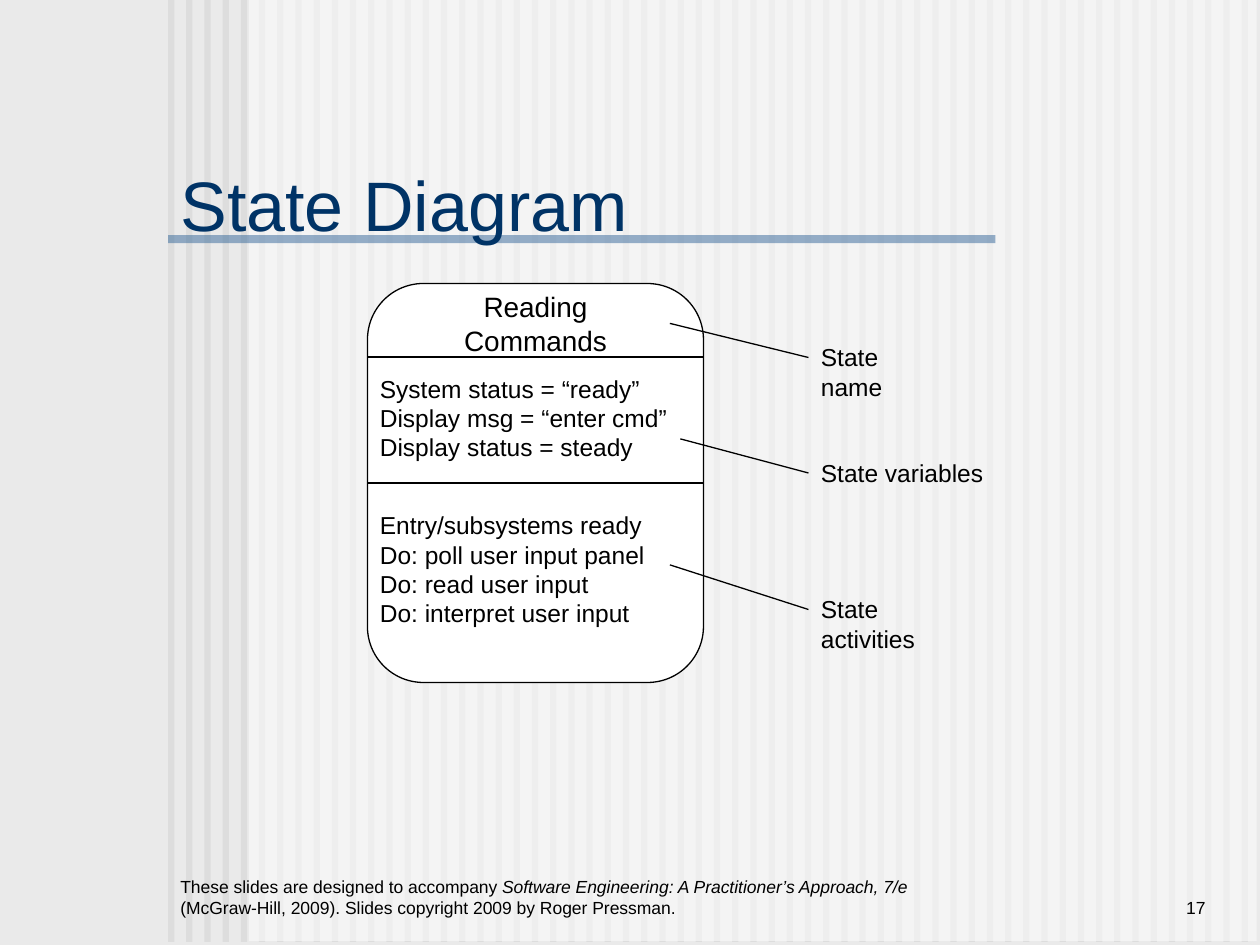
from dataclasses import dataclass

import lxml.etree
import pptx
import pptx.dml.color
import pptx.enum.shapes
import pptx.enum.text
import pptx.oxml.ns
import pptx.util

RGB = pptx.dml.color.RGBColor
SHAPE = pptx.enum.shapes.MSO_SHAPE
ALIGN = pptx.enum.text.PP_ALIGN
ANCHOR = pptx.enum.text.MSO_ANCHOR
FIT = pptx.enum.text.MSO_AUTO_SIZE
qn = pptx.oxml.ns.qn

PAPER = RGB(0xEA, 0xEA, 0xEA)
STRIPE = RGB(0xDD, 0xDD, 0xDD)
WHITE = RGB(0xFF, 0xFF, 0xFF)
BLACK = RGB(0, 0, 0)
NAVY = RGB(0x00, 0x33, 0x66)
STEEL = RGB(0x33, 0x66, 0x99)
FONT = "Arial"

# The slide is a grid of 120 columns by 90 rows, twelve to the inch
COLUMNS, ROWS = 120, 90
STRIPE_COUNT, STRIPE_PITCH, STRIPE_WIDTH = 60, 1.733, 0.6
MARGIN = 16
STATE_LEFT, STATE_RIGHT, STATE_TOP, STATE_BOTTOM = 35, 67, 27, 65
DIVIDER_ROWS = (34, 46)
LABEL_LEFT = 77


@dataclass(frozen=True)
class Box:
    left: float
    top: float
    width: float
    height: float

    def emu(self) -> tuple:
        return tuple(map(grid, (self.left, self.top, self.width, self.height)))


@dataclass(frozen=True)
class Compartment:
    box: Box
    lines: tuple
    size: int
    align: ALIGN


@dataclass(frozen=True)
class Callout:
    label: str
    top: float
    width: float
    target: tuple  # column and row the leader points at


COMPARTMENTS = (
    Compartment(Box(43, 27, 16, 7.7), ("Reading", "Commands"), 16, ALIGN.CENTER),
    Compartment(Box(35, 35, 31, 9.6),
                ("System status = “ready”", "Display msg = “enter cmd”",
                 "Display status = steady"), 14, ALIGN.LEFT),
    Compartment(Box(35, 48, 31, 15.2),
                ("Entry/subsystems ready", "Do: poll user input panel",
                 "Do: read user input", "Do: interpret user input"), 14, ALIGN.LEFT),
)
CALLOUTS = (
    Callout("State name", 32, 14.3, (63.8, 30.8)),
    Callout("State variables", 43, 17.9, (64.8, 41.8)),
    Callout("State activities", 56, 17.4, (63.8, 53.8)),
)


def grid(units: float) -> int:
    return pptx.util.Inches(units / 12)


def add_panel(slide, box: Box, color: RGB, opacity: int = 100,
              kind: SHAPE = SHAPE.RECTANGLE, outlined: bool = False):
    panel = slide.shapes.add_shape(kind, *box.emu())
    panel.shadow.inherit = False
    panel.fill.solid()
    panel.fill.fore_color.rgb = color
    if opacity < 100:
        fill_color = panel.fill._xPr.find(".//" + qn("a:srgbClr"))
        lxml.etree.SubElement(fill_color, qn("a:alpha"), val=str(opacity * 1000))
    if outlined:
        panel.line.color.rgb = BLACK
        panel.line.width = pptx.util.Pt(0.75)
    else:
        panel.line.fill.background()
    return panel


def style(paragraph, size: int, color: RGB = BLACK, align: ALIGN = ALIGN.LEFT) -> None:
    paragraph.alignment = align
    paragraph.font.name = FONT
    paragraph.font.size = pptx.util.Pt(size)
    paragraph.font.color.rgb = color


def add_text(slide, box: Box, lines: tuple, size: int, align: ALIGN = ALIGN.LEFT,
             anchor: ANCHOR = ANCHOR.TOP, wrap: bool = True):
    text_box = slide.shapes.add_textbox(*box.emu())
    frame = text_box.text_frame
    frame.word_wrap = wrap
    frame.vertical_anchor = anchor
    frame.text = "\n".join(lines)
    for paragraph in frame.paragraphs:
        style(paragraph, size, align=align)
    return text_box


def add_line(slide, start: tuple, end: tuple):
    line = slide.shapes.add_connector(pptx.enum.shapes.MSO_CONNECTOR.STRAIGHT,
                                      *map(grid, start + end))
    line.line.color.rgb = BLACK
    line.line.width = pptx.util.Pt(0.75)
    lxml.etree.SubElement(line.element.spPr, qn("a:effectLst"))
    return line


def add_backdrop(slide) -> None:
    slide.background.fill.solid()
    slide.background.fill.fore_color.rgb = PAPER
    for index in range(STRIPE_COUNT):
        left = MARGIN + index * STRIPE_PITCH
        add_panel(slide, Box(left, 0, STRIPE_WIDTH, 89.7), STRIPE)
    add_panel(slide, Box(23.7, -0.1, 96, 89.7), WHITE, opacity=50)
    add_panel(slide, Box(MARGIN, 22.4, 78.8, 0.75), STEEL, opacity=50)


def add_footer(slide) -> None:
    credit = add_text(slide, Box(MARGIN, 82, 72, 6),
                      ("These slides are designed to accompany ",), 10,
                      anchor=ANCHOR.BOTTOM)
    paragraph = credit.text_frame.paragraphs[0]
    book = paragraph.add_run()
    book.text = "Software Engineering: A Practitioner’s Approach, 7/e "
    book.font.italic = True
    paragraph.add_run().text = (
        "(McGraw-Hill, 2009). Slides copyright 2009 by Roger Pressman.")
    add_text(slide, Box(99, 82, 17, 6), ("17",), 10, ALIGN.RIGHT, ANCHOR.BOTTOM)


def set_title(slide, text: str) -> None:
    title = slide.shapes.title
    title.left, title.top, title.width, title.height = Box(MARGIN, 15, 57, 9).emu()
    frame = title.text_frame
    frame.text = text
    frame.auto_size = FIT.NONE
    frame.vertical_anchor = ANCHOR.BOTTOM
    style(frame.paragraphs[0], 40, NAVY)
    # Bring the title in front of the backdrop
    title.element.getparent().append(title.element)


def add_state(slide) -> None:
    add_panel(slide, Box(STATE_LEFT, STATE_TOP, STATE_RIGHT - STATE_LEFT,
                         STATE_BOTTOM - STATE_TOP),
              WHITE, kind=SHAPE.ROUNDED_RECTANGLE, outlined=True)
    for row in DIVIDER_ROWS:
        add_line(slide, (STATE_LEFT, row), (STATE_RIGHT, row))
    for part in COMPARTMENTS:
        add_text(slide, part.box, part.lines, part.size, part.align)


def add_callout(slide, callout: Callout) -> None:
    box = Box(LABEL_LEFT, callout.top, callout.width, 4.1)
    label = add_text(slide, box, (callout.label,), 14, wrap=False)
    leader = add_line(slide, (box.left, box.top + box.height / 2), callout.target)
    leader.begin_connect(label, 1)


def main() -> None:
    deck = pptx.Presentation()
    deck.slide_width, deck.slide_height = grid(COLUMNS), grid(ROWS)
    slide = deck.slides.add_slide(deck.slide_layouts.get_by_name("Title Only"))

    add_backdrop(slide)
    add_footer(slide)
    set_title(slide, "State Diagram")
    add_state(slide)
    for callout in CALLOUTS:
        add_callout(slide, callout)

    deck.save("out.pptx")


if __name__ == "__main__":
    main()
